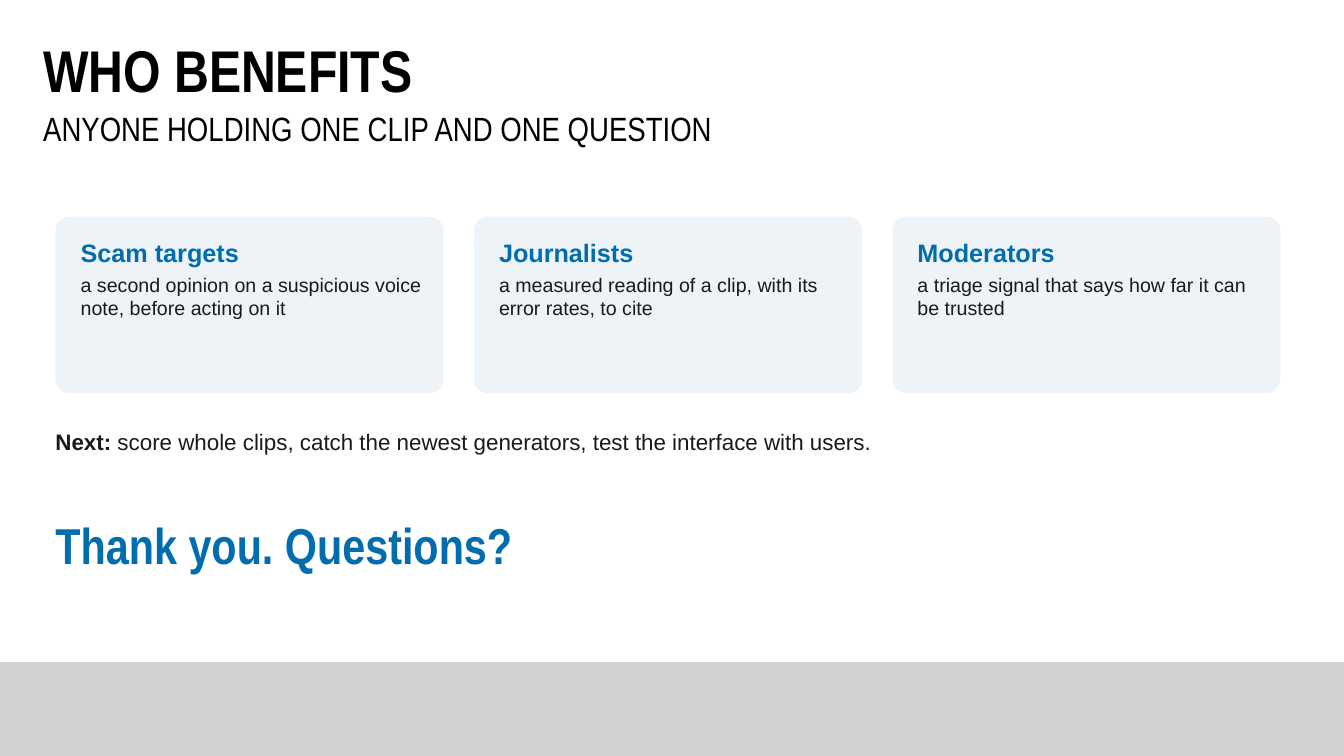
from pptx import Presentation
from pptx.dml.color import RGBColor
from pptx.enum.shapes import MSO_SHAPE
from pptx.util import Pt

PX = 9144
SLIDE_W, SLIDE_H = 1333, 750
BLACK = RGBColor(0x00, 0x00, 0x00)
INK = RGBColor(0x1A, 0x1A, 0x1A)
BLUE = RGBColor(0x00, 0x6D, 0xAE)
CARD_FILL = RGBColor(0xEE, 0xF3, 0xF8)
FOOTER_GREY = RGBColor(0xD2, 0xD2, 0xD2)

BENEFICIARIES = [
    ("Scam targets", "a second opinion on a suspicious voice note, before acting on it"),
    ("Journalists", "a measured reading of a clip, with its error rates, to cite"),
    ("Moderators", "a triage signal that says how far it can be trusted"),
]


def emu(*lengths):
    return [length * PX for length in lengths]


def add_panel(slide, kind, box, color):
    panel = slide.shapes.add_shape(kind, *emu(*box))
    panel.shadow.inherit = False
    panel.fill.solid()
    panel.fill.fore_color.rgb = color
    panel.line.fill.background()
    return panel


def add_text_frame(slide, box, inset_x=0, inset_y=0):
    frame = slide.shapes.add_textbox(*emu(*box)).text_frame
    frame.word_wrap = True
    frame.margin_left = frame.margin_right = inset_x * PX
    frame.margin_top = frame.margin_bottom = inset_y * PX
    return frame


def style(paragraph, size, color, bold=None, face="Arial"):
    font = paragraph.font
    font.name, font.size, font.bold = face, Pt(size), bold
    font.color.rgb = color


def add_heading(slide, left, top, width):
    lines = [
        ("WHO BENEFITS", 0, 81, 42, True),
        ("ANYONE HOLDING ONE CLIP AND ONE QUESTION", 71, 51, 24, False),
    ]
    for text, offset, height, size, bold in lines:
        frame = add_text_frame(slide, (left, top + offset, width, height), 10, 5)
        line = frame.paragraphs[0]
        line.text = text
        line.line_spacing = 0.9
        style(line, size, BLACK, bold, "Arial Narrow")


def add_card(slide, left, top, width, height, audience, benefit):
    card = add_panel(slide, MSO_SHAPE.ROUNDED_RECTANGLE, (left, top, width, height), CARD_FILL)
    card.adjustments[0] = 0.08
    frame = add_text_frame(slide, (left + 25, top + 20, width - 45, height - 25))
    name = frame.paragraphs[0]
    name.text = audience
    name.space_after = Pt(4)
    style(name, 18, BLUE, True)
    detail = frame.add_paragraph()
    detail.text = benefit
    style(detail, 14, INK)


def add_cards(slide, left, top, width, height, gap):
    card_width = (width - gap * (len(BENEFICIARIES) - 1)) // len(BENEFICIARIES)
    for i, (audience, benefit) in enumerate(BENEFICIARIES):
        add_card(slide, left + i * (card_width + gap), top, card_width, height, audience, benefit)


def add_closing(slide, left, top, width):
    next_steps = add_text_frame(slide, (left, top, width, 60)).paragraphs[0]
    next_steps.add_run().text = "Next: "
    next_steps.add_run().text = "score whole clips, catch the newest generators, test the interface with users."
    style(next_steps, 16, INK)
    next_steps.runs[0].font.bold = True
    thanks = add_text_frame(slide, (left, top + 85, width, 100)).paragraphs[0]
    thanks.text = "Thank you. Questions?"
    style(thanks, 36, BLUE, True, "Arial Narrow")


def main():
    deck = Presentation()
    deck.slide_width, deck.slide_height = emu(SLIDE_W, SLIDE_H)
    slide = deck.slides.add_slide(deck.slide_layouts[6])
    add_panel(slide, MSO_SHAPE.RECTANGLE, (0, 657, SLIDE_W, SLIDE_H - 657), FOOTER_GREY)
    add_heading(slide, 33, 36, 815)
    add_cards(slide, 55, 215, 1215, 175, 30)
    add_closing(slide, 55, 425, 1220)
    deck.save("out.pptx")


if __name__ == "__main__":
    main()
